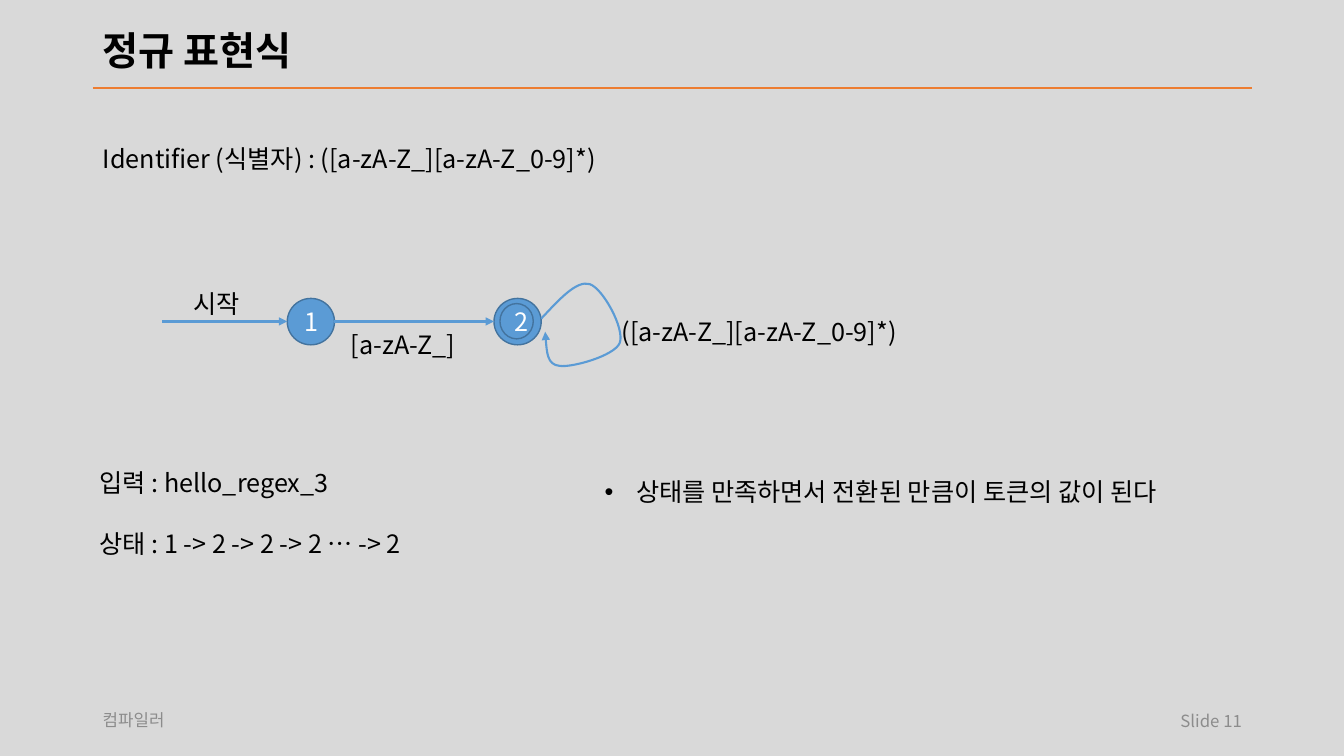
from dataclasses import dataclass

from lxml import etree
from pptx import Presentation
from pptx import util as u
from pptx.dml.color import RGBColor
from pptx.enum import shapes, text
from pptx.oxml import ns

FONT = "Noto Sans CJK KR"
BACKGROUND = RGBColor(0xD9, 0xD9, 0xD9)
BLACK = RGBColor(0, 0, 0)
GREY = RGBColor(0x8C, 0x8C, 0x8C)
WHITE = RGBColor(0xFF, 0xFF, 0xFF)
ORANGE = RGBColor(0xED, 0x7D, 0x31)
BLUE = RGBColor(0x5B, 0x9B, 0xD5)
DARK_BLUE = RGBColor(0x43, 0x73, 0x9E)

AXIS_Y = 8.1  # height of the automaton's axis, in cm
MARGIN = 2.34


@dataclass
class Label:
    left: float
    top: float
    width: float
    height: float
    lines: tuple[str, ...]
    size: int = 18
    color: RGBColor = BLACK
    bold: bool = False
    align: text.PP_ALIGN = text.PP_ALIGN.LEFT
    middle: bool = False
    wrap: bool = False
    bullet: bool = False
    gap: float = 0
    spacing: float = 1.0


@dataclass
class State:
    left: float
    top: float
    width: float
    height: float
    name: str = ""


@dataclass
class Line:
    start: float
    end: float
    y: float
    color: RGBColor = BLUE
    arrow: bool = True


LABELS = [
    Label(MARGIN, 0.56, 29.21, 1.52, ("정규 표현식",), 28, bold=True,
          middle=True, wrap=True, spacing=0.9),
    Label(23.93, 17.65, 7.62, 1.02, ("Slide 11",), 12, GREY,
          align=text.PP_ALIGN.RIGHT, middle=True, wrap=True),
    Label(MARGIN, 17.63, 6.65, 1.02, ("컴파일러",), 12, GREY, middle=True, wrap=True),
    Label(MARGIN, 3.48, 15.27, 1.02, ("Identifier (식별자) : ([a-zA-Z_][a-zA-Z_0-9]*)",)),
    Label(4.62, 7.14, 1.8, 1.02, ("시작",)),
    Label(8.59, 8.18, 3.4, 1.02, ("[a-zA-Z_]",)),
    Label(15.42, 7.85, 8.53, 1.02, ("([a-zA-Z_][a-zA-Z_0-9]*)",)),
    Label(2.26, 11.66, 10.44, 2.57,
          ("입력 : hello_regex_3", "상태 : 1 -> 2 -> 2 -> 2 … -> 2"), gap=21.5),
    Label(14.99, 11.89, 16.71, 1.8,
          ("상태를 만족하면서 전환된 만큼이 토큰의 값이 된다",), wrap=True, bullet=True),
]
STATES = [
    State(7.24, 7.52, 1.19, 1.17, "1"),
    State(12.45, 7.52, 1.19, 1.17),
    State(12.6, 7.65, 0.84, 0.89, "2"),
]
LINES = [
    Line(MARGIN, 31.55, 2.22, ORANGE, arrow=False),
    Line(4.09, 7.24, AXIS_Y),
    Line(8.41, 12.45, AXIS_Y),
]
# Start point, then three Bézier points for each curve
LOOP = [
    (13.74, 8.36),
    (13.77, 8.76), (13.79, 9.19), (14.1, 9.22),
    (14.4, 9.27), (15.49, 8.97), (15.62, 8.64),
    (15.75, 8.28), (15.19, 7.26), (14.86, 7.16),
    (14.53, 7.06), (14.1, 7.54), (13.64, 8.03),
]


def add_run(paragraph, words: str, size: int, color: RGBColor, bold: bool = False) -> None:
    run = paragraph.add_run()
    run.text = words
    run.font.size = u.Pt(size)
    run.font.name = FONT
    run.font.bold = bold
    run.font.color.rgb = color
    east_asian = etree.SubElement(run.font._element, ns.qn("a:ea"))
    east_asian.set("typeface", FONT)


def add_label(slide, label: Label) -> None:
    box = slide.shapes.add_textbox(*map(u.Cm, (label.left, label.top, label.width, label.height)))
    frame = box.text_frame
    frame.word_wrap = label.wrap
    if not label.wrap:
        frame.auto_size = text.MSO_AUTO_SIZE.SHAPE_TO_FIT_TEXT
    if label.middle:
        frame.vertical_anchor = text.MSO_ANCHOR.MIDDLE
    for index, words in enumerate(label.lines):
        paragraph = frame.add_paragraph() if index else frame.paragraphs[0]
        paragraph.alignment = label.align
        paragraph.line_spacing = label.spacing
        if index:
            paragraph.space_before = u.Pt(label.gap)
        if label.bullet:
            properties = paragraph._p.get_or_add_pPr()
            properties.set("marL", str(u.Cm(0.79)))
            properties.set("indent", str(u.Cm(-0.79)))
            etree.SubElement(properties, ns.qn("a:buFont")).set("typeface", "Arial")
            etree.SubElement(properties, ns.qn("a:buChar")).set("char", "•")
        add_run(paragraph, words, label.size, label.color, label.bold)


def add_state(slide, state: State) -> None:
    circle = slide.shapes.add_shape(
        shapes.MSO_SHAPE.OVAL, *map(u.Cm, (state.left, state.top, state.width, state.height)))
    circle.shadow.inherit = False
    circle.fill.solid()
    circle.fill.fore_color.rgb = BLUE
    circle.line.color.rgb = DARK_BLUE
    circle.line.width = u.Pt(1)
    if state.name:
        circle.text_frame.vertical_anchor = text.MSO_ANCHOR.MIDDLE
        paragraph = circle.text_frame.paragraphs[0]
        paragraph.alignment = text.PP_ALIGN.CENTER
        add_run(paragraph, state.name, 18, WHITE)


def style_line(line, color: RGBColor, arrow_end: str = "") -> None:
    line.color.rgb = color
    line.width = u.Pt(1.5)
    if arrow_end:
        etree.SubElement(line._get_or_add_ln(), ns.qn(arrow_end)).set("type", "triangle")


def add_line(slide, line: Line) -> None:
    connector = slide.shapes.add_connector(
        shapes.MSO_CONNECTOR.STRAIGHT, *map(u.Cm, (line.start, line.y, line.end, line.y)))
    style_line(connector.line, line.color, "a:tailEnd" if line.arrow else "")
    etree.SubElement(connector._element.spPr, ns.qn("a:effectLst"))


def add_loop(slide, points: list[tuple[float, float]]) -> None:
    start, *rest = [(u.Cm(x), u.Cm(y)) for x, y in points]
    builder = slide.shapes.build_freeform(*start)
    builder.add_line_segments(rest, close=False)
    loop = builder.convert_to_shape()
    loop.shadow.inherit = False
    loop.fill.background()
    style_line(loop.line, BLUE, "a:headEnd")
    # Turn each three segments into one curve
    segments = list(loop._element.iter(ns.qn("a:lnTo")))
    for first in range(0, len(segments), 3):
        curve = etree.Element(ns.qn("a:cubicBezTo"))
        segments[first].addprevious(curve)
        for segment in segments[first:first + 3]:
            curve.append(segment[0])
            segment.getparent().remove(segment)


def main() -> None:
    deck = Presentation()
    deck.slide_width, deck.slide_height = u.Cm(33.87), u.Cm(19.05)
    slide = deck.slides.add_slide(deck.slide_layouts[6])
    slide.background.fill.solid()
    slide.background.fill.fore_color.rgb = BACKGROUND

    # Automaton and title rule
    for state in STATES:
        add_state(slide, state)
    for line in LINES:
        add_line(slide, line)
    add_loop(slide, LOOP)

    # Texts
    for label in LABELS:
        add_label(slide, label)

    deck.save("out.pptx")


if __name__ == "__main__":
    main()
